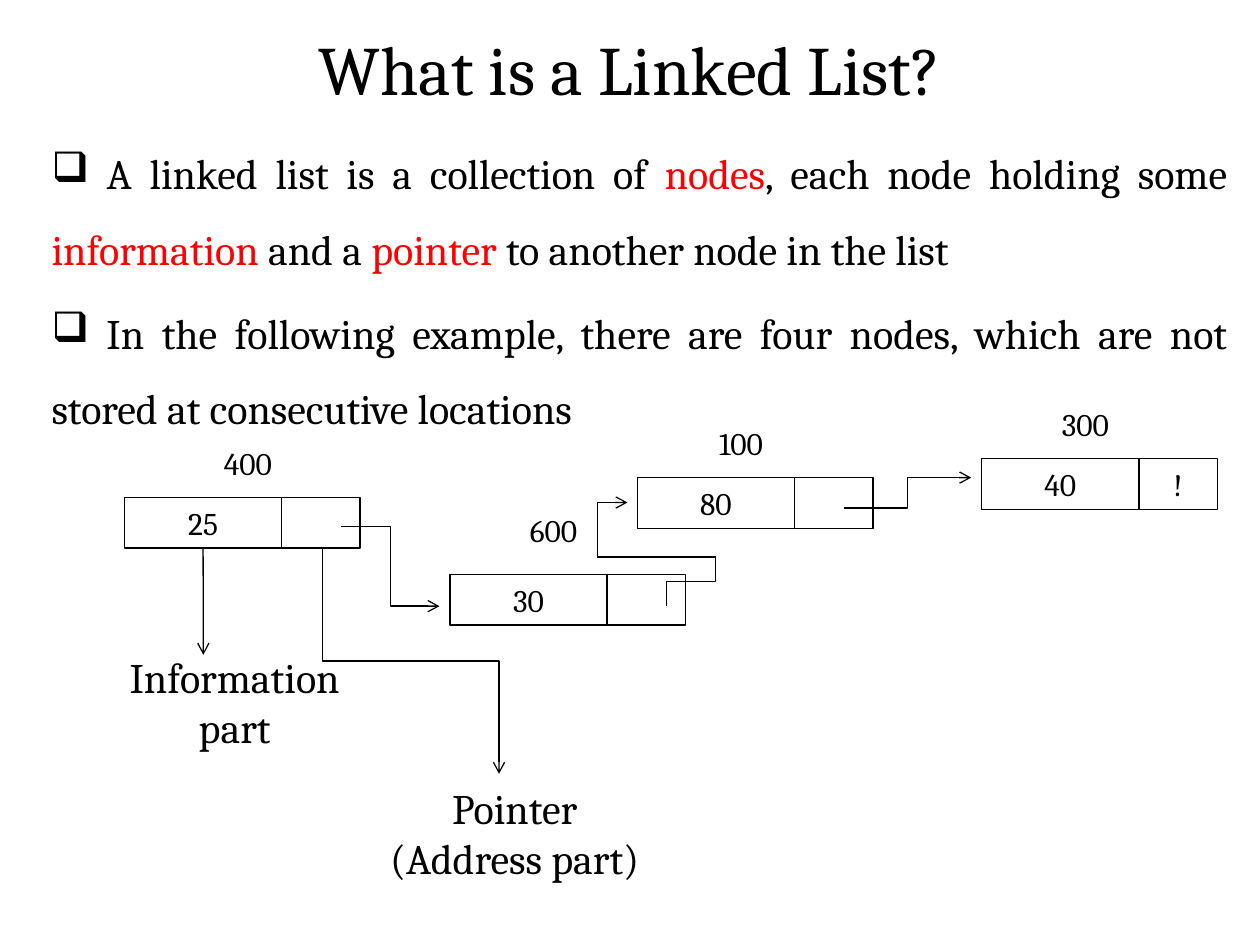
from lxml.etree import SubElement
from pptx import Presentation
from pptx.dml.color import RGBColor
from pptx.enum.shapes import MSO_CONNECTOR, MSO_SHAPE
from pptx.enum.text import MSO_ANCHOR, PP_ALIGN
from pptx.oxml.ns import qn
from pptx.util import Cm, Pt

FONT = "Cambria"
BLACK, RED = "000000", "FF0000"
DATA_WIDTH, POINTER_WIDTH, NODE_HEIGHT = 3.17, 1.58, 1.02

# data, pointer text, left, top, address, address offset from the node
NODES = [
    ("25", "", 2.51, 10.03, "400", (1.4, -1.2)),
    ("30", "", 9.07, 11.58, "600", (1, -1.4)),
    ("80", "", 12.85, 9.63, "100", (1, -1.2)),
    ("40", "!", 19.79, 9.25, "300", (1, -1.2)),
]
STATEMENTS = [
    [(" A linked list is a collection of ", BLACK), ("nodes", RED),
     (", each node holding some ", BLACK), ("information", RED),
     (" and a ", BLACK), ("pointer", RED),
     (" to another node in the list", BLACK)],
    [(" In the following example, there are four nodes, which are not "
      "stored at consecutive locations", BLACK)],
]


def color(value):
    return RGBColor.from_string(value)


def style_font(font, size, value=BLACK):
    font.name = FONT
    font.size = Pt(size)
    font.color.rgb = color(value)


def add_text(page, text, left, top, width, height, size, anchor=MSO_ANCHOR.TOP):
    box = page.shapes.add_textbox(Cm(left), Cm(top), Cm(width), Cm(height))
    frame = box.text_frame
    frame.word_wrap = True
    frame.vertical_anchor = anchor
    frame.text = text
    para = frame.paragraphs[0]
    para.alignment = PP_ALIGN.CENTER
    style_font(para.font, size)
    return box


def add_statements(page):
    box = page.shapes.add_textbox(Cm(0.79), Cm(2.34), Cm(24.2), Cm(5.08))
    frame = box.text_frame
    frame.word_wrap = True
    for index, parts in enumerate(STATEMENTS):
        para = frame.add_paragraph() if index else frame.paragraphs[0]
        para.alignment = PP_ALIGN.JUSTIFY
        para.line_spacing = 1.5
        para.space_before = Pt(4.8 if index else 0)
        properties = para._p.get_or_add_pPr()
        SubElement(properties, qn("a:buChar")).set("char", "❑")
        style_font(para.font, 24)
        for text, value in parts:
            span = para.add_run()
            span.text = text
            style_font(span.font, 24, value)


def add_cell(page, text, left, top, width):
    cell = page.shapes.add_shape(
        MSO_SHAPE.RECTANGLE, Cm(left), Cm(top), Cm(width), Cm(NODE_HEIGHT))
    cell.shadow.inherit = False
    cell.fill.background()
    cell.line.color.rgb = color(BLACK)
    cell.line.width = Pt(0.75)
    if text:
        cell.text_frame.text = text
        para = cell.text_frame.paragraphs[0]
        para.alignment = PP_ALIGN.CENTER
        style_font(para.font, 18)
    return cell


def add_node(page, data, pointer, left, top, address, offset):
    """Draw one list node with its address and return its data cell."""
    data_cell = add_cell(page, data, left, top, DATA_WIDTH)
    add_cell(page, pointer, left + DATA_WIDTH, top, POINTER_WIDTH)
    add_text(page, address, left + offset[0], top + offset[1],
             2.18, NODE_HEIGHT, 18)
    return data_cell


def add_line(page, start, end, kind=MSO_CONNECTOR.STRAIGHT, arrow=True):
    line = page.shapes.add_connector(
        kind, Cm(start[0]), Cm(start[1]), Cm(end[0]), Cm(end[1]))
    line.line.color.rgb = color(BLACK)
    line.line.width = Pt(0.75)
    if arrow:
        SubElement(line.line._get_or_add_ln(), qn("a:tailEnd")).set("type", "arrow")
    SubElement(line._element.spPr, qn("a:effectLst"))
    return line


def add_vertical_elbow(page, start, end, arrow=True, preset="bentConnector3"):
    """Draw an elbow that leaves its start vertically, by a quarter turn."""
    (x1, y1), (x2, y2) = start, end
    down = y2 > y1
    middle_x, middle_y = (x1 + x2) / 2, (y1 + y2) / 2
    half_length = abs(y2 - y1) / 2
    half_rise = (x1 - x2 if down else x2 - x1) / 2
    elbow = add_line(page, (middle_x - half_length, middle_y - half_rise),
                     (middle_x + half_length, middle_y + half_rise),
                     MSO_CONNECTOR.ELBOW, arrow)
    properties = elbow._element.spPr
    properties.find(qn("a:xfrm")).set("rot", str((90 if down else 270) * 60000))
    properties.find(qn("a:prstGeom")).set("prst", preset)


def add_links(page):
    add_line(page, (6.88, 10.62), (8.86, 12.22), MSO_CONNECTOR.ELBOW)
    corner, turn = (14.43, 11.23), (12.04, 11.23)
    add_vertical_elbow(page, (13.44, 12.22), corner, arrow=False)
    add_line(page, corner, turn, arrow=False)
    add_vertical_elbow(page, turn, (12.65, 10.13), preset="bentConnector2")
    add_line(page, (17.02, 10.24), (19.58, 9.63), MSO_CONNECTOR.ELBOW)


def add_part_names(page, first_data_cell):
    arrow = add_line(page, (4.1, 11.05), (4.1, 13.2))
    arrow.begin_connect(first_data_cell, 2)
    add_text(page, "Information part", 2.34, 13, 4.78, 2.31, 24)
    add_vertical_elbow(page, (6.5, 11.05), (10.06, 15.6))
    add_text(page, "Pointer (Address part)", 7.49, 15.65, 5.77, 3.33, 24)


def main():
    deck = Presentation()
    deck.slide_width, deck.slide_height = Cm(25.4), Cm(19.05)
    page = deck.slides.add_slide(deck.slide_layouts[6])
    add_text(page, "What is a Linked List?", 1.19, 0.41, 23.01, 1.93, 39.6,
             MSO_ANCHOR.MIDDLE)
    add_statements(page)
    data_cells = [add_node(page, *node) for node in NODES]
    add_links(page)
    add_part_names(page, data_cells[0])
    deck.save("out.pptx")


if __name__ == "__main__":
    main()
